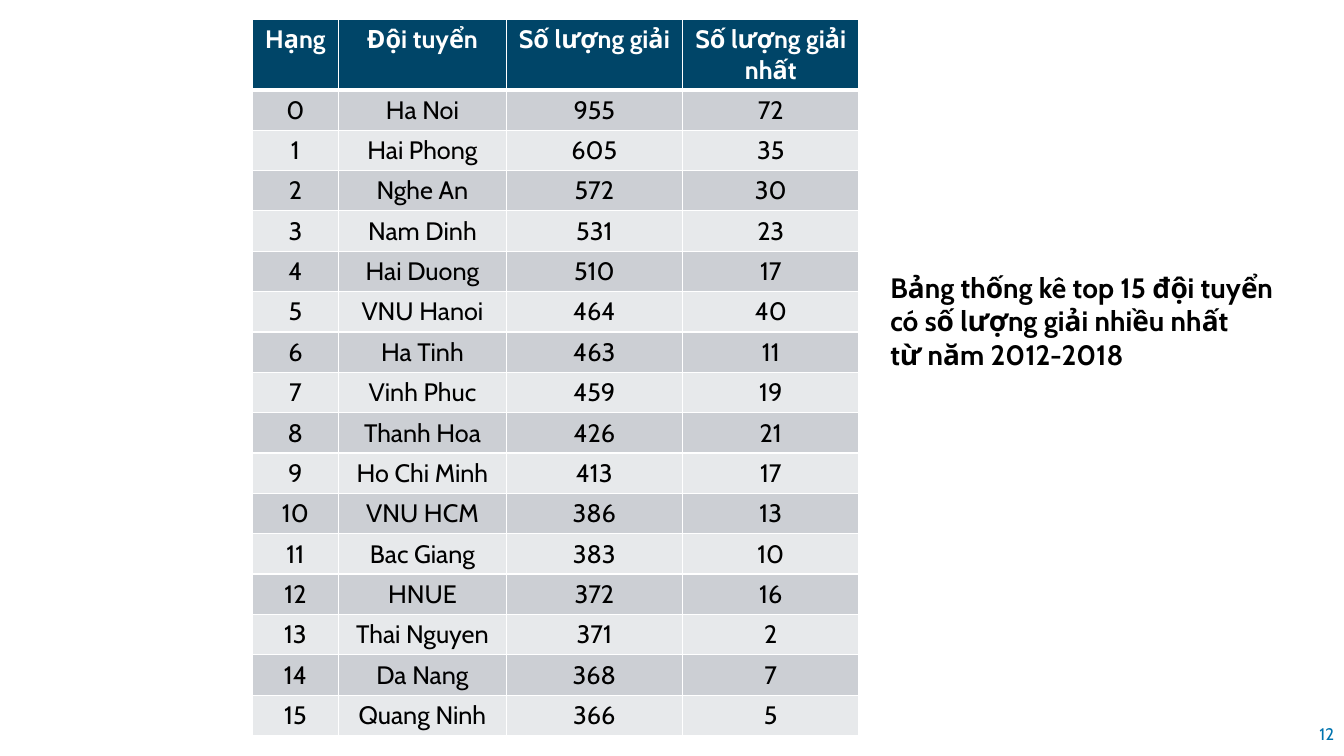
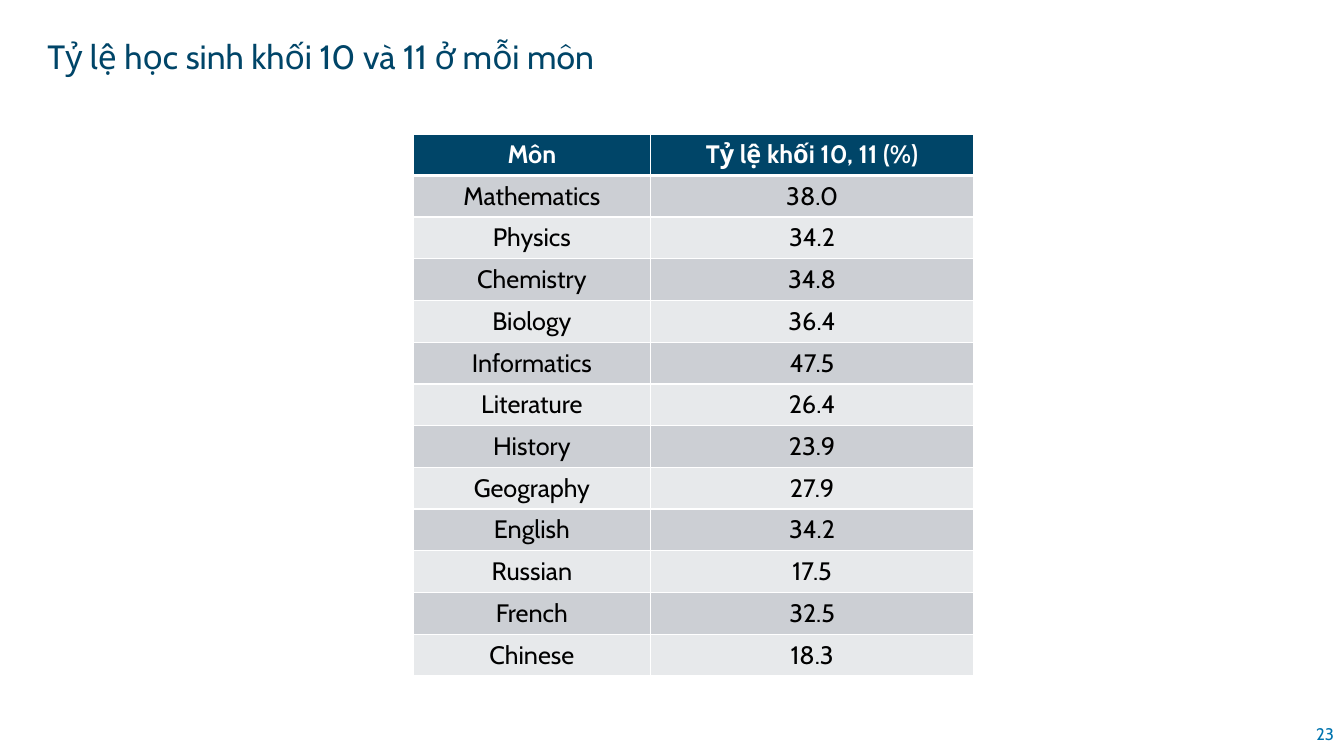
"""Build two slides of award and grade statistics."""
from lxml import etree
from pptx import Presentation
from pptx import util as u
from pptx.dml import color
from pptx.enum import text
from pptx.oxml import ns

FONT = "Cabin"
NAVY, BLUE, WHITE, BLACK = "004568", "0074AF", "FFFFFF", "000000"
BANDS = ("CCCFD4", "E7E9EB")
TITLE_ONLY = 5

TEAMS = [
    ("Ha Noi", 955, 72), ("Hai Phong", 605, 35), ("Nghe An", 572, 30),
    ("Nam Dinh", 531, 23), ("Hai Duong", 510, 17), ("VNU Hanoi", 464, 40),
    ("Ha Tinh", 463, 11), ("Vinh Phuc", 459, 19), ("Thanh Hoa", 426, 21),
    ("Ho Chi Minh", 413, 17), ("VNU HCM", 386, 13), ("Bac Giang", 383, 10),
    ("HNUE", 372, 16), ("Thai Nguyen", 371, 2), ("Da Nang", 368, 7),
    ("Quang Ninh", 366, 5),
]
SUBJECTS = [
    ("Mathematics", 38.0), ("Physics", 34.2), ("Chemistry", 34.8),
    ("Biology", 36.4), ("Informatics", 47.5), ("Literature", 26.4),
    ("History", 23.9), ("Geography", 27.9), ("English", 34.2),
    ("Russian", 17.5), ("French", 32.5), ("Chinese", 18.3),
]


def rgb(value):
    """Turn a hex string into a colour."""
    return color.RGBColor.from_string(value)


def write(text_frame, content, size, ink, bold=False, align=text.PP_ALIGN.LEFT):
    """Put text in a frame and format its runs."""
    text_frame.text = content
    for paragraph in text_frame.paragraphs:
        paragraph.alignment = align
        for run in paragraph.runs:
            run.font.name = FONT
            run.font.size = u.Pt(size)
            run.font.bold = bold
            run.font.color.rgb = rgb(ink)


def place(shape, left, top, width, height):
    """Move and size a shape, in inches."""
    shape.left, shape.top = u.Inches(left), u.Inches(top)
    shape.width, shape.height = u.Inches(width), u.Inches(height)


def add_slide(presentation, number):
    """Add a titled slide with its page number at the lower right."""
    slide = presentation.slides.add_slide(presentation.slide_layouts[TITLE_ONLY])
    box = slide.shapes.add_textbox(
        u.Inches(12.85), u.Inches(7.08), u.Inches(0.48), u.Inches(0.4))
    box.text_frame.word_wrap = True
    box.text_frame.vertical_anchor = text.MSO_ANCHOR.MIDDLE
    write(box.text_frame, str(number), 12, BLUE, align=text.PP_ALIGN.RIGHT)
    return slide


def set_title(slide, content, place_at, size, ink, bold=False):
    """Fill the title placeholder and set its place and style."""
    title = slide.shapes.title
    place(title, *place_at)
    frame = title.text_frame
    frame.word_wrap = False
    frame.auto_size = text.MSO_AUTO_SIZE.SHAPE_TO_FIT_TEXT
    frame.vertical_anchor = text.MSO_ANCHOR.TOP
    write(frame, content, size, ink, bold)


def set_borders(cell, top, bottom):
    """Draw white cell edges, with the top and bottom widths in points."""
    properties = cell._tc.get_or_add_tcPr()
    for edge, width in (("L", 1), ("R", 1), ("T", top), ("B", bottom)):
        line = etree.SubElement(properties, ns.qn(f"a:ln{edge}"), w=str(u.Pt(width)))
        fill = etree.SubElement(line, ns.qn("a:solidFill"))
        etree.SubElement(fill, ns.qn("a:srgbClr"), val=WHITE)


def style_cell(cell, content, row):
    """Write one cell in the header or band style of its row."""
    header = row == 0
    set_borders(cell, 3 if row == 1 else 1, 3 if header else 1)
    cell.fill.solid()
    cell.fill.fore_color.rgb = rgb(NAVY if header else BANDS[(row - 1) % 2])
    cell.vertical_anchor = text.MSO_ANCHOR.TOP if header else text.MSO_ANCHOR.MIDDLE
    write(cell.text_frame, str(content), 18, WHITE if header else BLACK,
          header, text.PP_ALIGN.CENTER)


def add_banded_table(slide, rows, left, top, widths, height, header_height):
    """Add a table whose body rows share the height below the header."""
    table = slide.shapes.add_table(
        len(rows), len(widths), u.Inches(left), u.Inches(top),
        u.Inches(sum(widths)), u.Inches(height)).table
    for column, width in zip(table.columns, widths):
        column.width = u.Inches(width)
    body_height = (height - header_height) / (len(rows) - 1)
    for index, values in enumerate(rows):
        table.rows[index].height = u.Inches(body_height if index else header_height)
        for column, value in enumerate(values):
            style_cell(table.cell(index, column), value, index)


def add_team_slide(presentation):
    """Add the ranking of teams by awards."""
    slide = add_slide(presentation, 12)
    header = ("Hạng", "Đội tuyển", "Số lượng giải", "Số lượng giải nhất")
    ranking = [(rank, *team) for rank, team in enumerate(TEAMS)]
    add_banded_table(slide, [header, *ranking], 2.5, 0.19,
                     (0.86, 1.66, 1.75, 1.75), 7.1, 0.7)
    set_title(slide, "Bảng thống kê top 15 đội tuyển\n"
              "có số lượng giải nhiều nhất\ntừ năm 2012-2018",
              (8.73, 2.63, 4.39, 1.11), 20, BLACK, True)


def add_subject_slide(presentation):
    """Add the share of grade 10 and 11 students by subject."""
    slide = add_slide(presentation, 23)
    set_title(slide, "Tỷ lệ học sinh khối 10 và 11 ở mỗi môn",
              (0.37, 0.31, 6.02, 0.5), 24, NAVY)
    header = ("Môn", "Tỷ lệ khối 10, 11 (%)")
    add_banded_table(slide, [header, *SUBJECTS], 4.1, 1.33,
                     (2.35, 3.21), 5.38, 0.41)


def main():
    """Build and save the presentation."""
    presentation = Presentation()
    presentation.slide_width = u.Inches(13.33)
    presentation.slide_height = u.Inches(7.5)
    add_team_slide(presentation)
    add_subject_slide(presentation)
    presentation.save("out.pptx")


if __name__ == "__main__":
    main()
